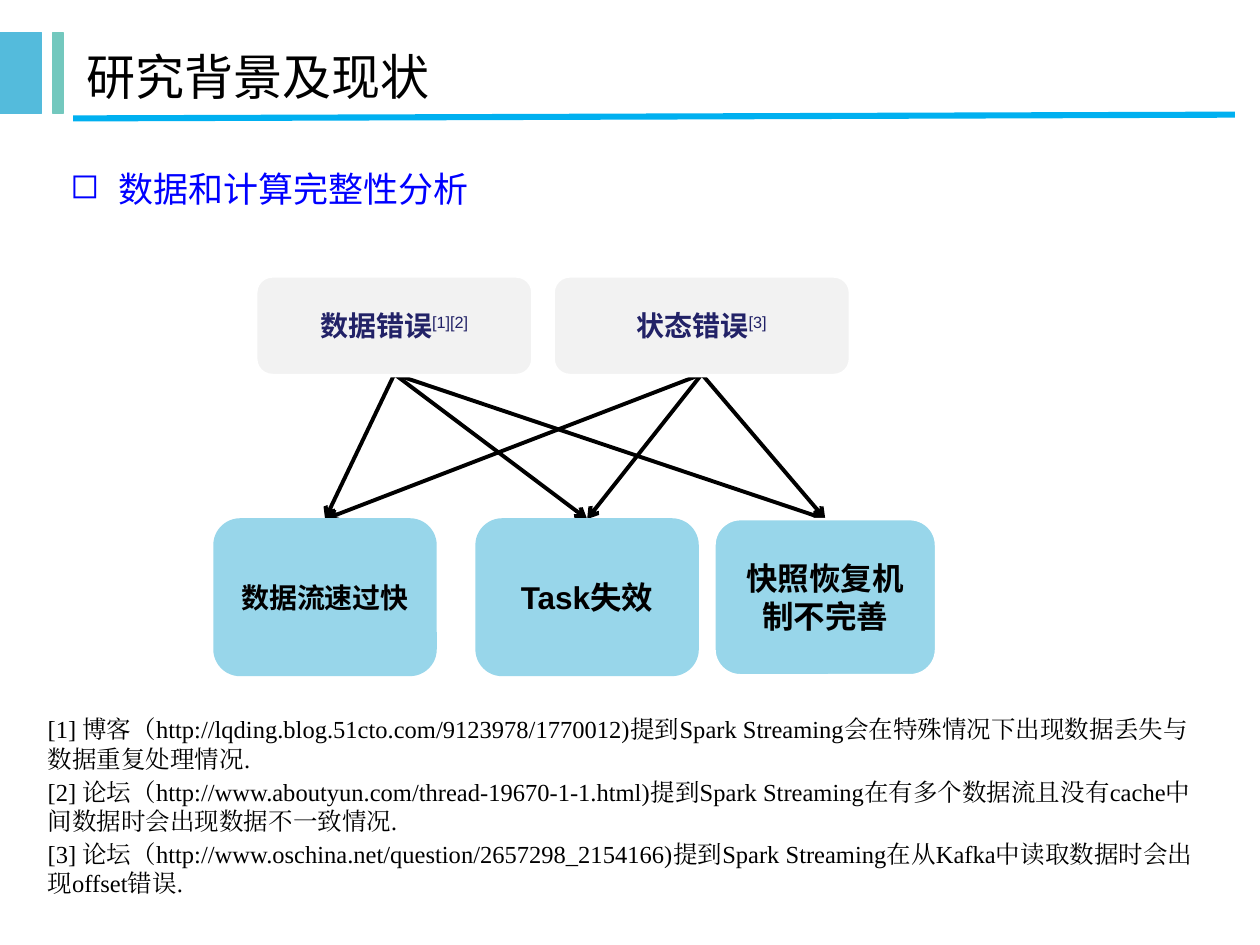
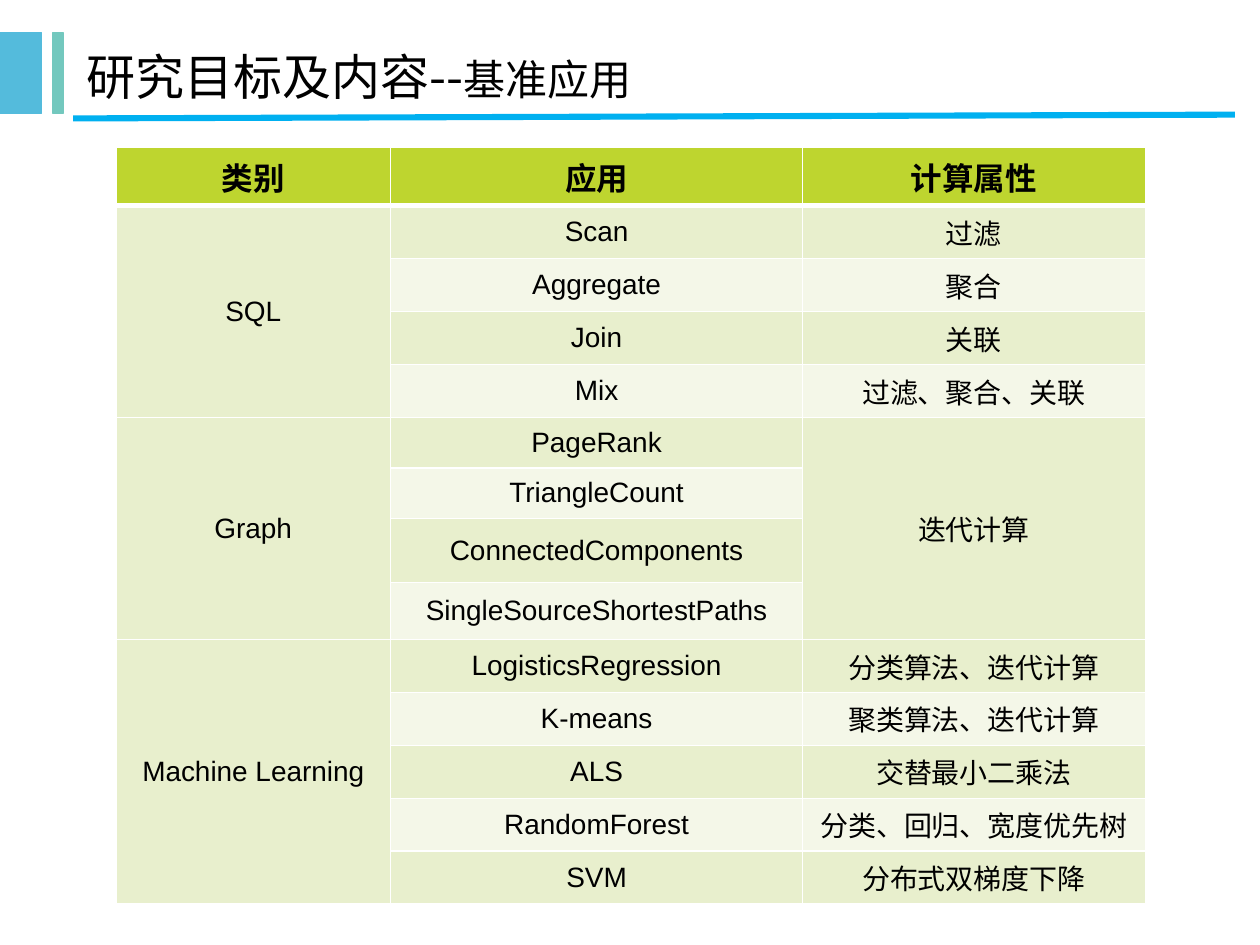
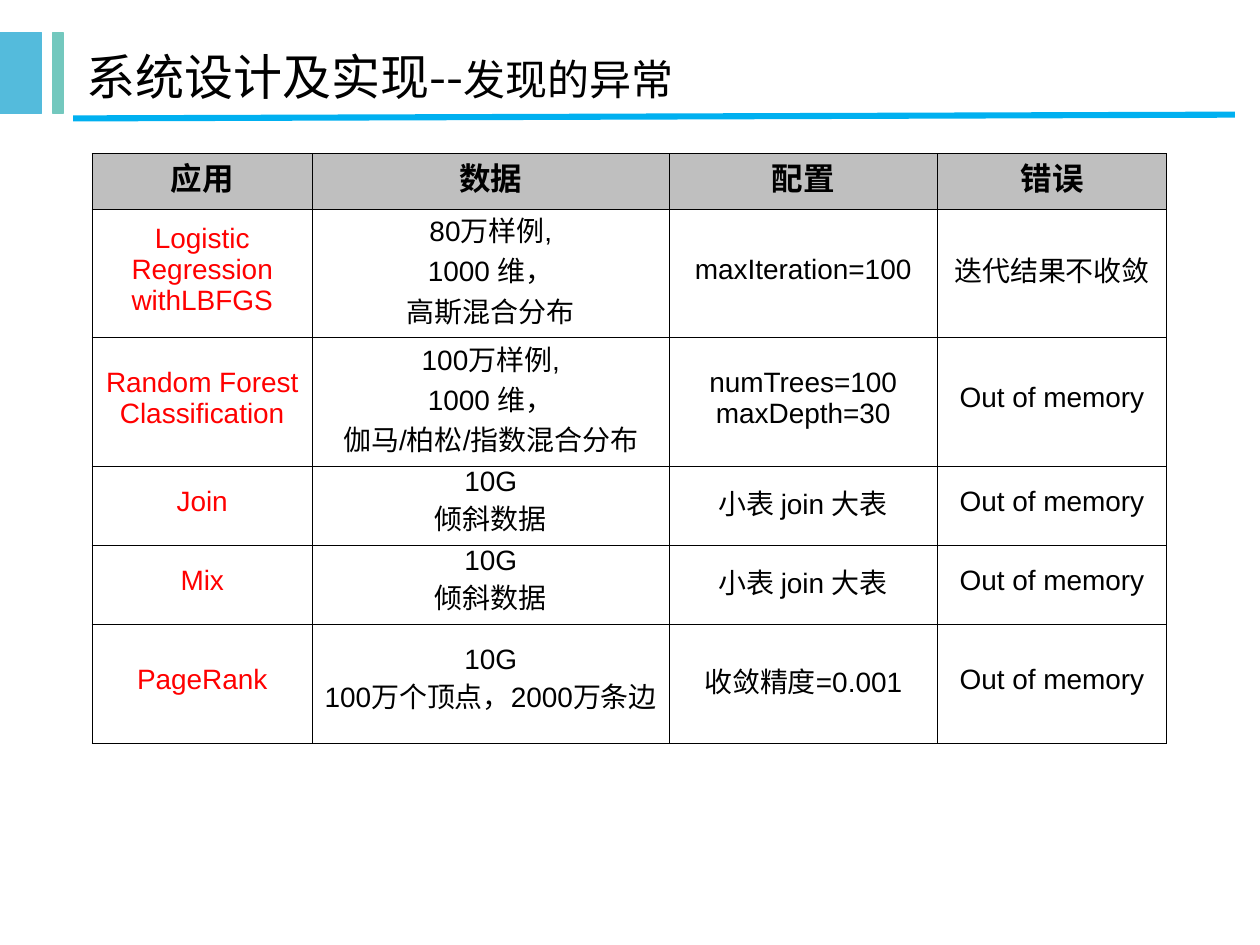
"""Build three slides on stream-processing errors, benchmark applications and found anomalies."""
from itertools import product, takewhile

from lxml import etree
from pptx import Presentation
from pptx.dml.color import RGBColor
from pptx.enum.shapes import MSO_CONNECTOR, MSO_SHAPE
from pptx.enum.text import MSO_ANCHOR as Anchor, PP_ALIGN as Align
from pptx.oxml.ns import qn
from pptx.util import Inches, Pt

COLORS = {
    "black": "000000", "white": "FFFFFF", "blue_band": "54BBDC", "green_band": "73C8BE",
    "rule": "00B0F0", "topic": "0000FF", "error_text": "222267", "error_fill": "F2F2F2",
    "cause_fill": "98D6EA", "lime": "BED52F", "lime_light": "E8EFCD", "lime_pale": "F4F7E8",
    "gray": "BFBFBF", "red": "FF0000",
}
COLORS = {name: RGBColor.from_string(value) for name, value in COLORS.items()}
CJK_FONT = "Noto Sans CJK SC"


def write(frame, lines, size=16, color="black", font="Arial", asian=None, bold=False,
          align=Align.LEFT, space=0):
    """Fill a text frame; a line is a string or a list of (text, overrides) runs."""
    for index, line in enumerate(lines):
        paragraph = frame.paragraphs[0] if index == 0 else frame.add_paragraph()
        paragraph.alignment = align
        paragraph.space_before = Pt(space if index else 0)
        paragraph.space_after = Pt(space)
        for text, changes in [(line, {})] if isinstance(line, str) else line:
            run = paragraph.add_run()
            run.text = text
            run.font.name = font
            run.font.size = Pt(changes.get("size", size))
            run.font.bold = changes.get("bold", bold)
            run.font.italic = changes.get("italic", False)
            run.font.color.rgb = COLORS[color]
            properties = run.font._element
            etree.SubElement(properties, qn("a:ea"), typeface=asian or font)
            if "baseline" in changes:
                properties.set("baseline", str(changes["baseline"] * 1000))


def draw_line(slide, start, end, color, width, arrow=False):
    """Draw a straight line, with an open arrowhead at its end on request."""
    line = slide.shapes.add_connector(MSO_CONNECTOR.STRAIGHT, *map(Inches, start + end))
    line.line.color.rgb = COLORS[color]
    line.line.width = Pt(width)
    if arrow:
        etree.SubElement(line.line._get_or_add_ln(), qn("a:tailEnd"), type="arrow")
    etree.SubElement(line.element.spPr, qn("a:effectLst"))


presentation = Presentation()
presentation.slide_width, presentation.slide_height = Inches(10), Inches(7.5)

titles = [
    [("研究背景及现状", {})],
    [("研究目标及内容--", {}), ("基准应用", {"size": 24})],
    [("系统设计及实现--", {}), ("发现的异常", {"size": 24})],
]
for title_runs in titles:
    slide = presentation.slides.add_slide(presentation.slide_layouts[5])
    title = slide.shapes.title
    title.left, title.top, title.width, title.height = map(Inches, (0.59, 0.26, 8.91, 0.69))
    title.text_frame.vertical_anchor = Anchor.MIDDLE
    write(title.text_frame, [title_runs], size=28, font=CJK_FONT)
    draw_line(slide, (0.58, 0.94), (9.8, 0.91), "rule", 3.5)
background_slide, benchmark_slide, anomaly_slide = presentation.slides

master_tree = presentation.slide_master.shapes.element
for band_id, (left, width, color) in enumerate([(0, 0.33, "blue_band"), (0.42, 0.08, "green_band")], 20):
    band = background_slide.shapes.add_shape(
        MSO_SHAPE.RECTANGLE, Inches(left), Inches(0.26), Inches(width), Inches(0.64))
    band.shadow.inherit = False
    band.fill.solid()
    band.fill.fore_color.rgb = band.line.color.rgb = COLORS[color]
    band.line.width = Pt(0.75)
    band.element.nvSpPr.cNvPr.set("id", str(band_id))
    master_tree.append(band.element)

topic = background_slide.shapes.add_textbox(*map(Inches, (0.46, 1.28, 6.67, 0.77)))
topic.text_frame.word_wrap = True
bullet = topic.text_frame.paragraphs[0]._p.get_or_add_pPr()
bullet.set("marL", str(Inches(0.38)))
bullet.set("indent", str(-Inches(0.38)))
etree.SubElement(bullet, qn("a:buChar"), char="◻")
write(topic.text_frame, ["数据和计算完整性分析"], size=20, color="topic")

reference = {"bold": False, "baseline": 30}
error_style = (2.19, 0.79, "error_fill", "error_text")
cause_style = (4.12, 1.24, "cause_fill", "black")
boxes = [
    (2.03, 2.2, error_style, "white", 2, 16, [("数据错误", {}), ("[1][2]", reference)]),
    (4.39, 2.36, error_style, "white", 2, 16, [("状态错误", {}), ("[3]", reference)]),
    (1.7, 1.76, cause_style, "cause_fill", 1, 16, "数据流速过快"),
    (3.78, 1.76, cause_style, "cause_fill", 1, 18, "Task失效"),
    (5.67, 1.76, cause_style, "white", 1.5, 18, "快照恢复机制不完善"),
]
for start_x, end_x in product((3.13, 5.57), (2.58, 6.55, 4.66)):
    draw_line(background_slide, (start_x, 2.97), (end_x, 4.12), "black", 2.25, arrow=True)
for left, width, (top, height, fill, text_color), outline, outline_width, size, label in boxes:
    box = background_slide.shapes.add_shape(
        MSO_SHAPE.ROUNDED_RECTANGLE, *map(Inches, (left, top, width, height)))
    box.shadow.inherit = False
    box.fill.solid()
    box.fill.fore_color.rgb = COLORS[fill]
    box.line.color.rgb = COLORS[outline]
    box.line.width = Pt(outline_width)
    box.text_frame.word_wrap = True
    box.text_frame.vertical_anchor = Anchor.MIDDLE
    write(box.text_frame, [label], size=size, color=text_color, bold=True, align=Align.CENTER)

references = background_slide.shapes.add_textbox(*map(Inches, (0.28, 5.62, 9.43, 1.56)))
references.text_frame.word_wrap = True
write(references.text_frame, [
    "[1] 博客（http://lqding.blog.51cto.com/9123978/1770012)提到Spark Streaming会在特殊情况下出现数据丢失与数据重复处理情况.",
    [("[2] 论坛（http://www.aboutyun.com/thread-19670-1-1.html)提到Spark Streaming在有多个数据流且没有cache中间数据时会出现数据不一致情况", {}),
     (".", {"italic": True})],
    "[3] 论坛（http://www.oschina.net/question/2657298_2154166)提到Spark Streaming在从Kafka中读取数据时会出现offset错误.",
], size=14, font="Times New Roman", space=1)

benchmark_rows = [
    ("类别", "应用", "计算属性"),
    ("SQL", "Scan", "过滤"),
    (None, "Aggregate", "聚合"),
    (None, "Join", "关联"),
    (None, "Mix", "过滤、聚合、关联"),
    ("Graph", "PageRank", "迭代计算"),
    (None, "TriangleCount", None),
    (None, "ConnectedComponents", None),
    (None, "SingleSourceShortestPaths", None),
    ("Machine Learning", "LogisticsRegression", "分类算法、迭代计算"),
    (None, "K-means", "聚类算法、迭代计算"),
    (None, "ALS", "交替最小二乘法"),
    (None, "RandomForest", "分类、回归、宽度优先树"),
    (None, "SVM", "分布式双梯度下降"),
]
anomaly_rows = [
    ("应用", "数据", "配置", "错误"),
    ("Logistic Regression withLBFGS", "80万样例,\n1000 维，\n高斯混合分布", "maxIteration=100", "迭代结果不收敛"),
    ("Random Forest\nClassification", "100万样例,\n1000 维，\n伽马/柏松/指数混合分布",
     "numTrees=100\nmaxDepth=30", "Out of memory"),
    ("Join", "10G\n倾斜数据", "小表 join 大表", "Out of memory"),
    ("Mix", "10G\n倾斜数据", "小表 join 大表", "Out of memory"),
    ("PageRank", "10G\n100万个顶点，2000万条边", "收敛精度=0.001", "Out of memory"),
]
tables = [
    dict(slide=benchmark_slide, rows=benchmark_rows, left=0.92, top=1.17, widths=[2.18, 3.27, 2.72],
         heights=[0.45] + [0.42] * 4 + [0.4, 0.4, 0.51, 0.45] + [0.42] * 5,
         header="lime", body=["lime_pale", "lime_light"], key_color="black",
         border="white", border_width=1, header_border=3, margins=(0.1, 0.05, 0.1, 0.05)),
    dict(slide=anomaly_slide, rows=anomaly_rows, left=0.73, top=1.22, widths=[1.75, 2.83, 2.13, 1.82],
         heights=[0.44, 1.02, 1.02, 0.62, 0.62, 0.94],
         header="gray", body=[None, None], key_color="red",
         border="black", border_width=0.5, header_border=0.5, margins=(0.07, 0, 0.07, 0.06)),
]
for design in tables:
    rows, widths, heights = design["rows"], design["widths"], design["heights"]
    table = design["slide"].shapes.add_table(
        len(rows), len(widths), Inches(design["left"]), Inches(design["top"]),
        Inches(sum(widths)), Inches(sum(heights))).table
    table.first_row = table.horz_banding = False
    for column, width in zip(table.columns, widths):
        column.width = Inches(width)
    for row, height in zip(table.rows, heights):
        row.height = Inches(height)
    for row_index, column_index in product(range(len(rows)), range(len(widths))):
        cell = table.cell(row_index, column_index)
        is_header = row_index == 0
        cell.margin_left, cell.margin_top, cell.margin_right, cell.margin_bottom = map(Inches, design["margins"])
        cell.vertical_anchor = Anchor.TOP if is_header else Anchor.MIDDLE
        for side in "LRTB":
            at_header = (row_index, side) in [(0, "B"), (1, "T")]
            width = design["header_border" if at_header else "border_width"]
            edge = etree.SubElement(cell._tc.get_or_add_tcPr(), qn(f"a:ln{side}"), w=str(Pt(width)))
            edge_fill = etree.SubElement(edge, qn("a:solidFill"))
            etree.SubElement(edge_fill, qn("a:srgbClr"), val=str(COLORS[design["border"]]))
        fill = design["header"] if is_header else design["body"][row_index % 2]
        if fill:
            cell.fill.solid()
            cell.fill.fore_color.rgb = COLORS[fill]
        else:
            cell.fill.background()
        text = rows[row_index][column_index]
        if text is None:
            continue
        below = [later[column_index] for later in rows[row_index + 1:]]
        span = len(list(takewhile(lambda value: value is None, below)))
        if span:
            cell.merge(table.cell(row_index + span, column_index))
        is_key = column_index == 0 and not is_header
        write(cell.text_frame, text.split("\n"), size=18 if is_header else 16, bold=is_header,
              color=design["key_color"] if is_key else "black", asian=CJK_FONT, align=Align.CENTER)

presentation.save("out.pptx")
